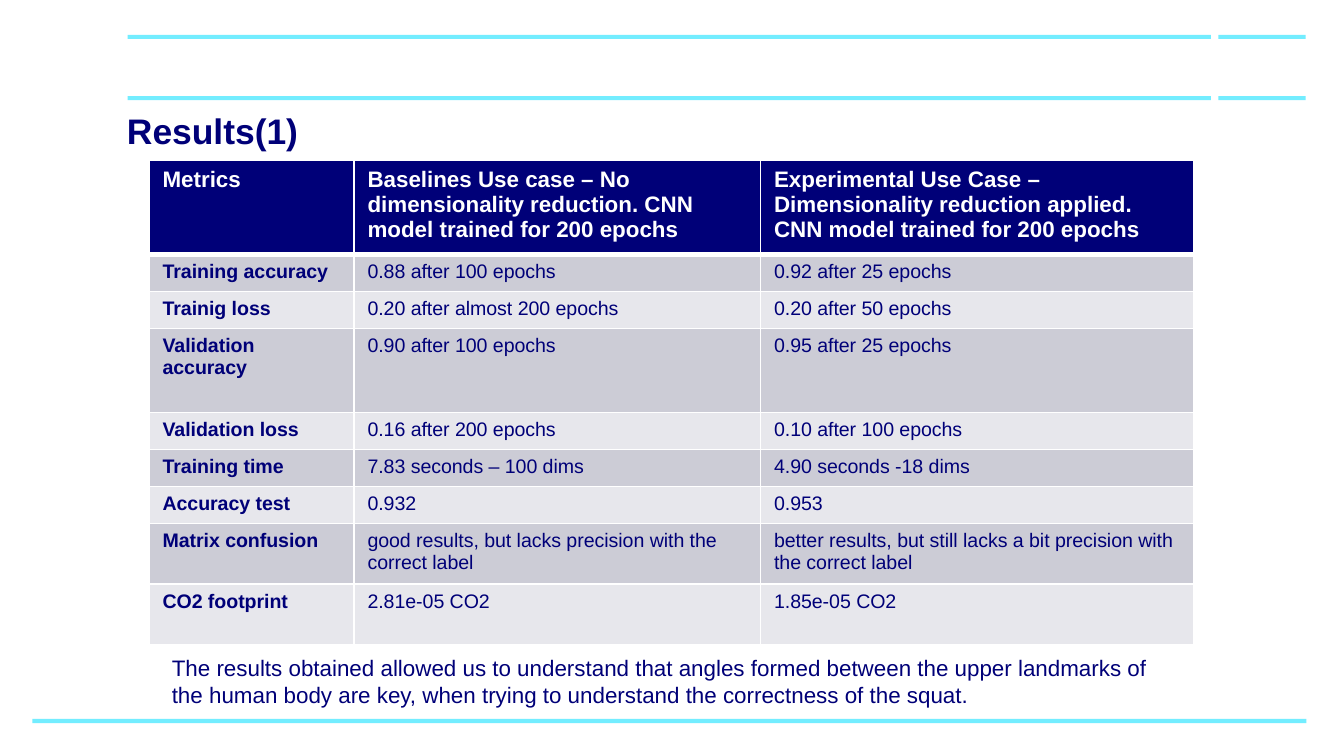
from lxml import etree
from pptx import Presentation
from pptx.dml.color import RGBColor
from pptx.enum.shapes import MSO_SHAPE
from pptx.enum.text import MSO_ANCHOR, PP_ALIGN
from pptx.oxml.ns import qn
from pptx.util import Inches, Pt

RECTANGLE = MSO_SHAPE.RECTANGLE
TOP = MSO_ANCHOR.TOP
LEFT = PP_ALIGN.LEFT

NAVY, CYAN, WHITE = "000078", "73EDFF", "FFFFFF"
BANDS = ["E7E7EC", "CCCCD6"]

deck = Presentation()
deck.slide_width, deck.slide_height = Inches(10), Inches(10) * 9 // 16
column = deck.slide_width / 100
row = deck.slide_height / 100


def place(left, top, width, height):
    return round(left * column), round(top * row), round(width * column), round(height * row)


def style(paragraph, size, color, bold=False):
    paragraph.alignment = LEFT
    paragraph.font.name = "Arial"
    paragraph.font.size = Pt(size)
    paragraph.font.bold = bold
    paragraph.font.color.rgb = RGBColor.from_string(color)


slide = deck.slides.add_slide(deck.slide_layouts[5])

rules = [(2.4, 95.1, 94.8)]
for rule_top in (12.7, 4.6):
    rules += [(9.5, rule_top, 80.6), (90.65, rule_top, 6.5)]
for left, top, width in rules:
    rule = slide.shapes.add_shape(RECTANGLE, *place(left, top, width, 0.55))
    rule.shadow.inherit = False
    rule.fill.solid()
    rule.fill.fore_color.rgb = RGBColor.from_string(CYAN)
    rule.line.fill.background()

heading = slide.shapes.title
heading.left, heading.top, heading.width, heading.height = place(8.45, 12.6, 81.3, 8.55)
heading.text_frame.text = "Results(1)"
heading.text_frame.vertical_anchor = TOP
heading.text_frame.margin_left = heading.text_frame.margin_right = Inches(0.1)
heading.text_frame.margin_top = heading.text_frame.margin_bottom = Inches(0.1)
style(heading.text_frame.paragraphs[0], 19, NAVY, True)

conclusion = slide.shapes.add_textbox(*place(11.8, 85.7, 76.5, 8.9)).text_frame
conclusion.word_wrap = True
conclusion.text = (
    "The results obtained allowed us to understand that angles formed between the upper "
    "landmarks of the human body are key, when trying to understand the correctness of the squat."
)
style(conclusion.paragraphs[0], 12, NAVY)

metrics = [
    ("Metrics",
     "Baselines Use case – No dimensionality reduction. CNN model trained for 200 epochs",
     "Experimental Use Case – Dimensionality reduction applied. CNN model trained for 200 epochs"),
    ("Training accuracy", "0.88 after 100 epochs", "0.92 after 25 epochs"),
    ("Trainig loss", "0.20 after almost 200 epochs", "0.20 after 50 epochs"),
    ("Validation accuracy", "0.90 after 100 epochs", "0.95 after 25 epochs"),
    ("Validation loss", "0.16 after 200 epochs", "0.10 after 100 epochs"),
    ("Training time", "7.83 seconds – 100 dims", "4.90 seconds -18 dims"),
    ("Accuracy test", "0.932", "0.953"),
    ("Matrix confusion",
     "good results, but lacks precision with the correct label",
     "better results, but still lacks a bit precision with the correct label"),
    ("CO2 footprint", "2.81e-05 CO2", "1.85e-05 CO2"),
]
column_shares = [15.25, 30.25, 32.2]
row_shares = [12.2, 4.9, 4.9, 11.1, 4.9, 4.9, 4.9, 8, 8]

results = slide.shapes.add_table(
    len(metrics), len(column_shares),
    *place(11.1, 21.2, sum(column_shares), sum(row_shares))
).table
for index, share in enumerate(column_shares):
    results.columns[index].width = round(share * column)
for r, (entries, share) in enumerate(zip(metrics, row_shares)):
    results.rows[r].height = round(share * row)
    for c, entry in enumerate(entries):
        cell = results.cell(r, c)
        cell.text = entry
        borders = {"lnL": 1, "lnR": 1, "lnT": 3 if r == 1 else 1, "lnB": 1 if r else 3}
        for side, weight in borders.items():
            border = etree.SubElement(cell._tc.get_or_add_tcPr(), qn(f"a:{side}"), w=str(Pt(weight)))
            paint = etree.SubElement(border, qn("a:solidFill"))
            etree.SubElement(paint, qn("a:srgbClr"), val=WHITE)
        cell.fill.solid()
        cell.fill.fore_color.rgb = RGBColor.from_string(BANDS[r % 2] if r else NAVY)
        style(cell.text_frame.paragraphs[0], 10.5 if r else 12, NAVY if r else WHITE, r == 0 or c == 0)

deck.save("out.pptx")
